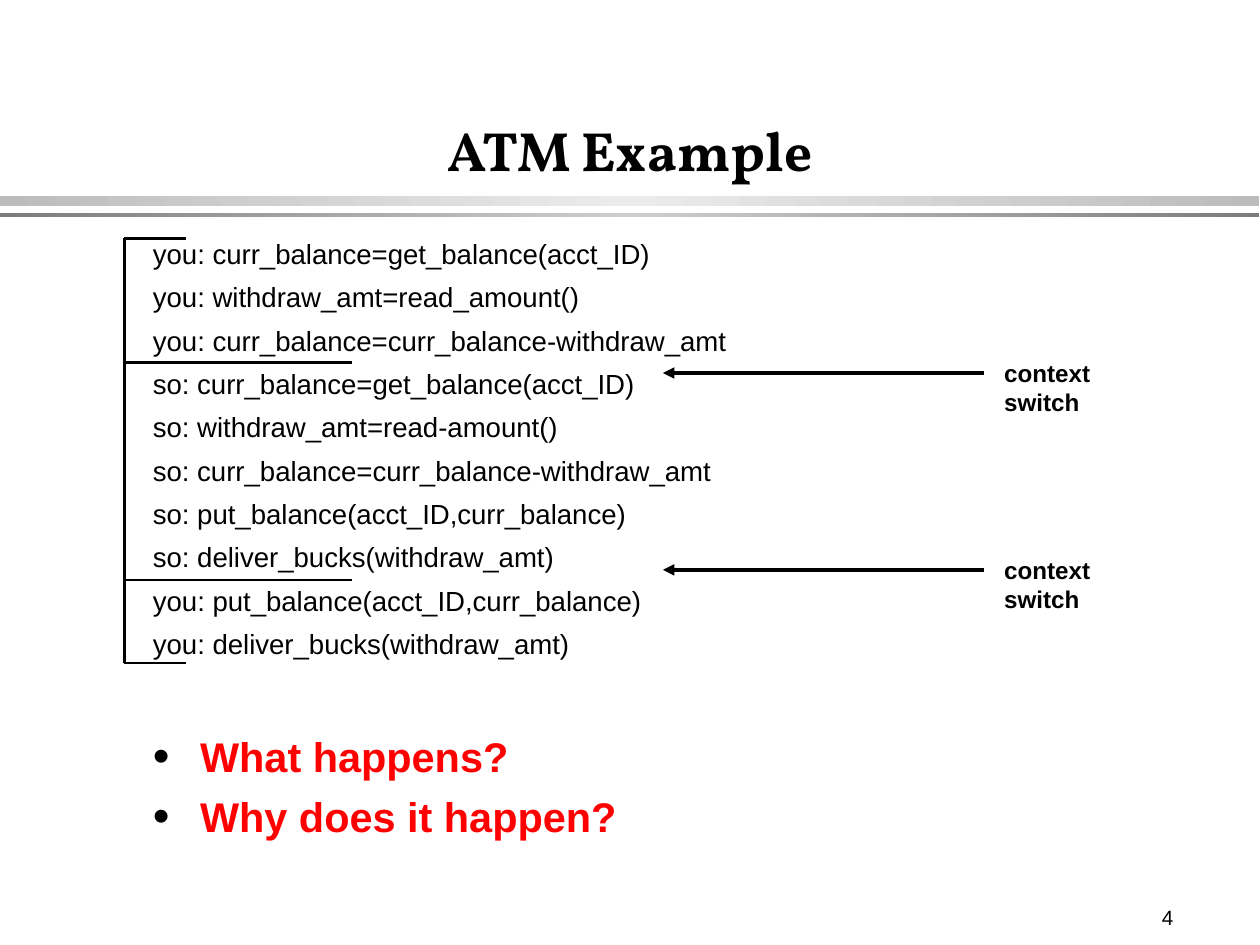
"""Build the ATM Example slide on a grid of twelfths of an inch."""
from copy import deepcopy
from typing import Any, NamedTuple

from lxml import etree
from pptx import Presentation
from pptx import util as u
from pptx.dml.color import RGBColor
from pptx.enum import shapes, text
from pptx.oxml.ns import qn

BLACK = RGBColor(0, 0, 0)
RED = RGBColor(255, 0, 0)
BAND_EDGE, BAND_MID = RGBColor(0xBC, 0xBC, 0xBC), RGBColor(0xEB, 0xEB, 0xEB)
RULE_EDGE, RULE_MID = RGBColor(0x7C, 0x7C, 0x7C), RGBColor(0xCE, 0xCE, 0xCE)
CELL = u.Inches(1) / 12
CODE = [
    "you: curr_balance=get_balance(acct_ID)",
    "you: withdraw_amt=read_amount()",
    "you: curr_balance=curr_balance-withdraw_amt",
    "so: curr_balance=get_balance(acct_ID)",
    "so: withdraw_amt=read-amount()",
    "so: curr_balance=curr_balance-withdraw_amt",
    "so: put_balance(acct_ID,curr_balance)",
    "so: deliver_bucks(withdraw_amt)",
    "you: put_balance(acct_ID,curr_balance)",
    "you: deliver_bucks(withdraw_amt)",
]
QUESTIONS = ["What happens?", "Why does it happen?"]


class Band(NamedTuple):
    """A full-width gradient bar under the title, in inches."""
    top: float
    height: float
    edge: RGBColor
    mid: RGBColor


class Line(NamedTuple):
    """A straight line between two grid points."""
    col: int
    row: int
    end_col: int
    end_row: int
    width: float = 1.5
    arrow: bool = False


class Label(NamedTuple):
    """A single-line text box, in inches."""
    words: str
    left: float
    top: float
    width: float
    height: float
    size: int
    bold: bool = False


BANDS = [Band(1.58, 0.08, BAND_EDGE, BAND_MID), Band(1.71, 0.04, RULE_EDGE, RULE_MID)]
SWITCH_ROWS = [36, 55]
BRACKET = [Line(12, 23, 12, 64)] + [
    Line(12, row, end, row) for row, end in [(23, 18), (35, 34), (56, 34), (64, 18)]]
ARROWS = [Line(64, row, 95, row, 2.25, True) for row in SWITCH_ROWS]
LABELS = [Label("context switch", 7.98, (row - 2) / 12, 1.55, 0.34, 14, True)
          for row in SWITCH_ROWS] + [Label("4", 9.25, 7.23, 0.97, 0.3, 12)]


def apply(target: Any, **formats: Any) -> None:
    """Set every given attribute on the target."""
    for name, value in formats.items():
        setattr(target, name, value)


def place(sp: Any, left: float, top: float, width: float, height: float) -> None:
    """Move and size a shape, in inches."""
    apply(sp, left=u.Inches(left), top=u.Inches(top),
          width=u.Inches(width), height=u.Inches(height))


def write(p: Any, words: str, size: int, color: RGBColor = BLACK,
          bold: bool = False, name: str = "Arial") -> None:
    """Add one formatted run to a paragraph."""
    r = p.add_run()
    r.text = words
    apply(r.font, size=u.Pt(size), bold=bold, name=name)
    r.font.color.rgb = color


def indent(p: Any, bullet: bool) -> None:
    """Give a paragraph its indent and its bullet, if any."""
    pPr = p._p.get_or_add_pPr()
    pPr.set("marL", str(u.Inches(0.76)))
    pPr.set("indent", str(u.Inches(-0.38)))
    if not bullet:
        etree.SubElement(pPr, qn("a:buNone"))
        return
    color = etree.SubElement(pPr, qn("a:buClr"))
    etree.SubElement(color, qn("a:srgbClr"), val=str(BLACK))
    etree.SubElement(pPr, qn("a:buSzPct"), val="115000")
    etree.SubElement(pPr, qn("a:buFont"), typeface="Arial")
    etree.SubElement(pPr, qn("a:buChar"), char="•")


def draw_band(s: Any, band: Band) -> None:
    """Draw a bar that is lighter in its middle."""
    sp = s.shapes.add_shape(shapes.MSO_SHAPE.RECTANGLE, 0, 0, 0, 0)
    place(sp, 0, band.top, 10.13, band.height)
    sp.shadow.inherit = False
    sp.line.fill.background()
    sp.fill.gradient()
    sp.fill.gradient_angle = 0
    stops = sp._element.spPr.find(qn("a:gradFill")).find(qn("a:gsLst"))
    stops.append(deepcopy(stops[0]))
    colors = [band.edge, band.mid, band.edge]
    for stop, position, color in zip(sp.fill.gradient_stops, [0, 0.5, 1], colors):
        stop.position = position
        stop.color.rgb = color


def draw_line(s: Any, line: Line) -> None:
    """Draw a line, with an arrowhead at its start if wanted."""
    ends = [u.Emu(round(n * CELL)) for n in line[:4]]
    sp = s.shapes.add_connector(shapes.MSO_CONNECTOR.STRAIGHT, *ends)
    sp.line.color.rgb = BLACK
    sp.line.width = u.Pt(line.width)
    if line.arrow:
        etree.SubElement(sp.line._get_or_add_ln(), qn("a:headEnd"), type="triangle")
    etree.SubElement(sp._element.spPr, qn("a:effectLst"))


def draw_label(s: Any, label: Label) -> None:
    """Draw a text box on one line."""
    sp = s.shapes.add_textbox(0, 0, 0, 0)
    place(sp, *label[1:5])
    apply(sp.text_frame, word_wrap=False,
          auto_size=text.MSO_AUTO_SIZE.SHAPE_TO_FIT_TEXT)
    write(sp.text_frame.paragraphs[0], label.words, label.size, bold=label.bold)


def fill_title(sp: Any) -> None:
    """Move and write the title."""
    place(sp, 0.76, 0.25, 8.62, 1.27)
    tf = sp.text_frame
    apply(tf, vertical_anchor=text.MSO_ANCHOR.BOTTOM, auto_size=text.MSO_AUTO_SIZE.NONE)
    tf.paragraphs[0].alignment = text.PP_ALIGN.CENTER
    write(tf.paragraphs[0], "ATM Example", 32, bold=True, name="Vollkorn")


def fill_body(sp: Any) -> None:
    """Write the code lines and the questions below them."""
    place(sp, 0.75, 1.83, 8.62, 5.17)
    tf = sp.text_frame
    apply(tf, vertical_anchor=text.MSO_ANCHOR.TOP, auto_size=text.MSO_AUTO_SIZE.NONE)
    for i, words in enumerate(CODE + QUESTIONS):
        p = tf.add_paragraph() if i else tf.paragraphs[0]
        asks = words in QUESTIONS
        indent(p, asks)
        if asks:
            gap = 41 if words == QUESTIONS[0] else 6
            apply(p, space_before=u.Pt(gap), line_spacing=1.0)
            write(p, words, 24, RED, True)
        else:
            apply(p, space_before=u.Pt(4), line_spacing=1.1)
            write(p, words, 16)


def main() -> None:
    """Build and save the slide."""
    prs = Presentation()
    prs.slide_width = u.Emu(9269413)
    prs.slide_height = u.Emu(6950075)
    s = prs.slides.add_slide(prs.slide_layouts[1])
    for band in BANDS:
        draw_band(s, band)
    fill_title(s.shapes.title)
    fill_body(s.placeholders[1])
    for line in BRACKET + ARROWS:
        draw_line(s, line)
    for label in LABELS:
        draw_label(s, label)
    prs.save("out.pptx")


main()
